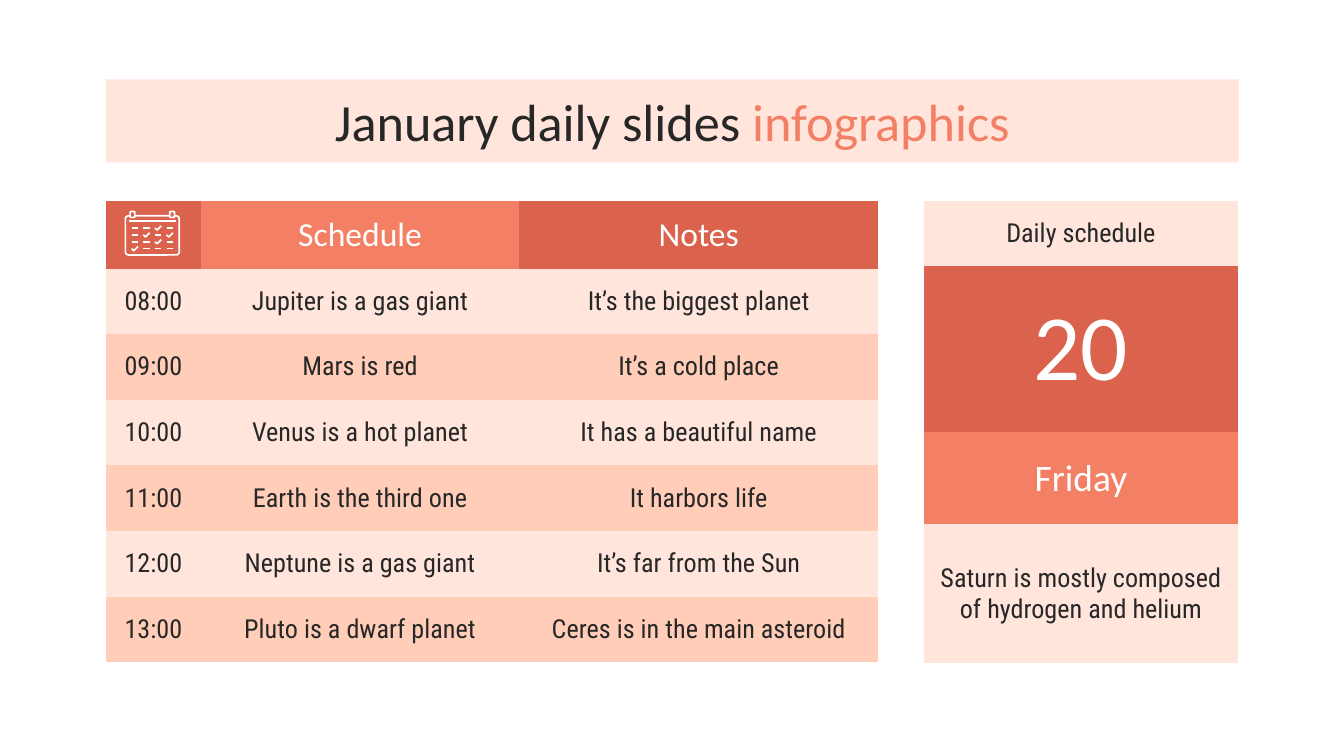
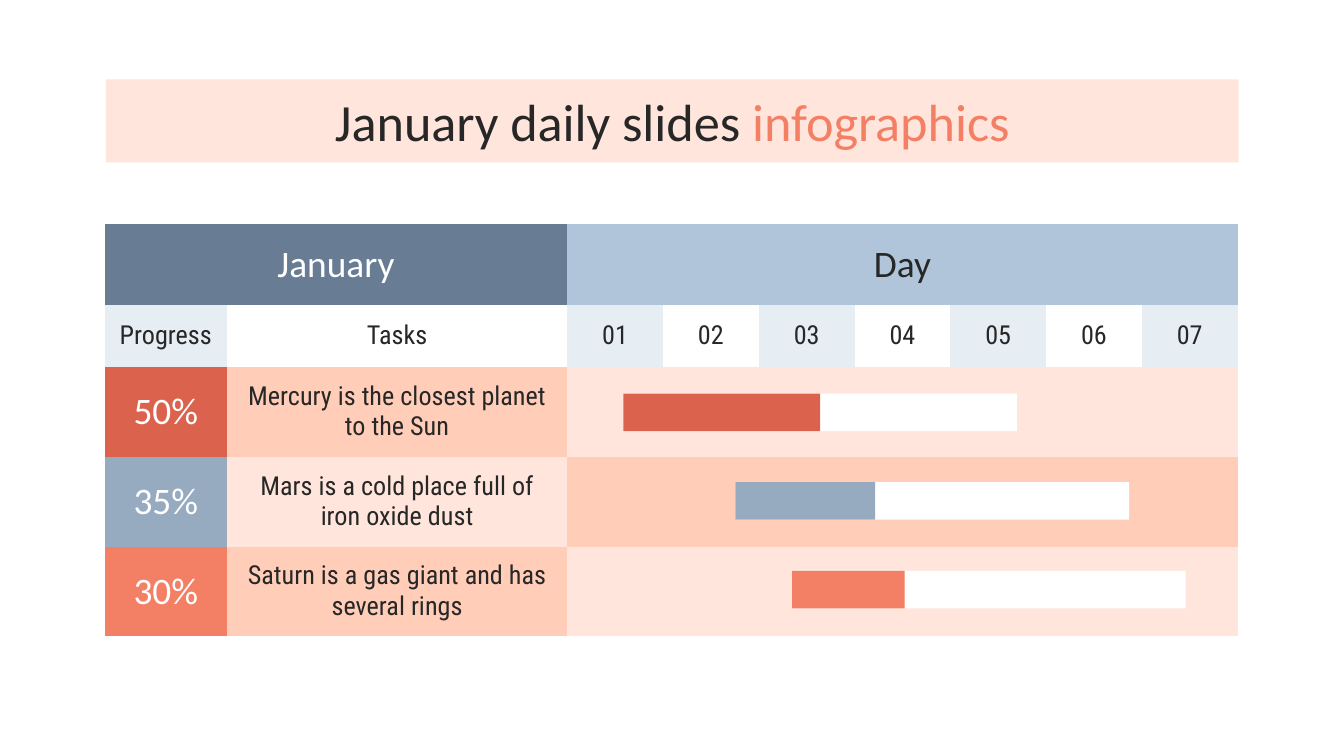
"""Build two January daily planner slides."""
from pptx import Presentation
from pptx import util as u
from pptx.dml.color import RGBColor
from pptx.enum import shapes, text
from pptx.oxml import ns, xmlchemy

WHITE = RGBColor(0xFF, 0xFF, 0xFF)
INK = RGBColor(0x27, 0x27, 0x27)
BLUSH = RGBColor(0xFF, 0xE5, 0xDB)
PEACH = RGBColor(0xFF, 0xCD, 0xB8)
CORAL = RGBColor(0xF3, 0x80, 0x65)
BRICK = RGBColor(0xDB, 0x63, 0x4D)
SLATE = RGBColor(0x68, 0x7D, 0x94)
STEEL = RGBColor(0x96, 0xAB, 0xC0)
SKY = RGBColor(0xB1, 0xC5, 0xDA)
MIST = RGBColor(0xE6, 0xED, 0xF3)

BODY = dict(font="Roboto Condensed", size=14, color=INK)
TITLE = dict(font="Calibri", size=28, color=INK)
HEADING = dict(font="Calibri", size=20, color=WHITE)
COLUMN_HEADING = {**HEADING, "size": 18}
DAY_NUMBER = {**HEADING, "size": 50}

NO_STYLE_NO_GRID = "{2D5ABB26-0587-4C30-8999-92F81FD0307C}"
TITLE_BOX = (2, 1.5, 21.41, 1.57)
INSET = u.Cm(0.25)
ICON_LINE = u.Pt(0.9)

AGENDA = [
    ("08:00", "Jupiter is a gas giant", "It’s the biggest planet"),
    ("09:00", "Mars is red", "It’s a cold place"),
    ("10:00", "Venus is a hot planet", "It has a beautiful name"),
    ("11:00", "Earth is the third one", "It harbors life"),
    ("12:00", "Neptune is a gas giant", "It’s far from the Sun"),
    ("13:00", "Pluto is a dwarf planet", "Ceres is in the main asteroid"),
]
TASKS = [
    ("50%", "Mercury is the closest planet to the Sun", BRICK),
    ("35%", "Mars is a cold place full of iron oxide dust", STEEL),
    ("30%", "Saturn is a gas giant and has several rings", CORAL),
]
BARS = [(1.06, 3.72, BRICK), (3.18, 2.64, STEEL), (4.25, 2.13, CORAL)]
PLANNER_ROWS = [1.53, 1.17, 1.7, 1.7, 1.7]


def write_text(paragraph, content, *, font, size, color):
    """Append a centred run with the given format."""
    paragraph.alignment = text.PP_ALIGN.CENTER
    run = paragraph.add_run()
    run.text = content
    run.font.name = font
    run.font.size = u.Pt(size)
    run.font.color.rgb = color


def add_box(parent, kind, box, fill=None, line=None):
    """Add a preset shape with an optional fill and outline."""
    shape = parent.add_shape(kind, *map(u.Cm, box))
    shape.shadow.inherit = False
    paint(shape, fill, line)
    return shape


def paint(shape, fill, line):
    """Set or clear a shape's fill and outline."""
    if fill is None:
        shape.fill.background()
    else:
        shape.fill.solid()
        shape.fill.fore_color.rgb = fill
    if line is None:
        shape.line.fill.background()
    else:
        shape.line.color.rgb = line
        shape.line.width = ICON_LINE


def add_stroke(parent, x, y, length):
    """Add a horizontal white line without a shadow."""
    line = parent.add_connector(shapes.MSO_CONNECTOR.STRAIGHT,
                                *map(u.Cm, (x, y, x + length, y)))
    line.line.color.rgb = WHITE
    line.line.width = ICON_LINE
    properties = line.element.spPr
    properties.append(xmlchemy.OxmlElement("a:effectLst"))


def add_check(parent, x, y):
    """Add a white check mark."""
    points = [(x, y), (x + 0.04, y + 0.04), (x + 0.12, y - 0.04)]
    points = [tuple(map(u.Cm, point)) for point in points]
    builder = parent.build_freeform(*points[0])
    builder.add_line_segments(points[1:], close=False)
    check = builder.convert_to_shape()
    check.shadow.inherit = False
    paint(check, None, WHITE)


def add_grid(slide, left, top, columns, heights, rows):
    """Add a table whose cells are (content, fill, format) and return it."""
    frame = slide.shapes.add_table(
        len(heights), len(columns),
        *map(u.Cm, (left, top, sum(columns), sum(heights))))
    next(frame.element.iter(ns.qn("a:tableStyleId"))).text = NO_STYLE_NO_GRID
    table = frame.table
    table.first_row = table.horz_banding = False
    for column, width in zip(table.columns, columns):
        column.width = u.Cm(width)
    for row, height, entries in zip(table.rows, heights, rows):
        row.height = u.Cm(height)
        for cell, (content, fill, style) in zip(row.cells, entries):
            cell.fill.solid()
            cell.fill.fore_color.rgb = fill
            cell.vertical_anchor = text.MSO_ANCHOR.MIDDLE
            cell.margin_left = cell.margin_right = INSET
            cell.margin_top = cell.margin_bottom = INSET
            if content:
                write_text(cell.text_frame.paragraphs[0], content, **style)
    return table


def add_titled_slide(presentation):
    """Add a slide with the two-colour title on its band."""
    slide = presentation.slides.add_slide(presentation.slide_layouts[5])
    title = slide.shapes.title
    title.left, title.top, title.width, title.height = map(u.Cm, TITLE_BOX)
    paint(title, BLUSH, None)
    frame = title.text_frame
    frame.auto_size = text.MSO_AUTO_SIZE.NONE
    frame.vertical_anchor = text.MSO_ANCHOR.MIDDLE
    frame.margin_left = frame.margin_right = INSET
    frame.margin_top = frame.margin_bottom = INSET
    paragraph = frame.paragraphs[0]
    write_text(paragraph, "January daily slides ", **TITLE)
    write_text(paragraph, "infographics", **{**TITLE, "color": CORAL})
    return slide


def add_calendar_icon(slide, left, top):
    """Draw a calendar with dashes and check marks."""
    icon = slide.shapes.add_group_shape().shapes
    rounded = shapes.MSO_SHAPE.ROUNDED_RECTANGLE
    frame = add_box(icon, rounded, (left + 0.01, top + 0.09, 1.02, 0.74),
                    line=WHITE)
    frame.adjustments[0] = 0.08
    add_stroke(icon, left + 0.07, top + 0.19, 0.9)
    for ring in (0.1, 0.85):
        add_box(icon, rounded, (left + ring, top + 0.01, 0.09, 0.11),
                BRICK, WHITE)
    for row, marks in enumerate(("--v-", "-v-v", "--v-", "v---")):
        for column, mark in enumerate(marks):
            x, y = left + 0.13 + 0.22 * column, top + 0.32 + 0.13 * row
            if mark == "v":
                add_check(icon, x, y)
            else:
                add_stroke(icon, x, y, 0.12)


def add_agenda(slide, left, top):
    """Add the hourly schedule with its calendar icon."""
    rows = [[("", BRICK, None), ("Schedule", CORAL, COLUMN_HEADING),
             ("Notes", BRICK, COLUMN_HEADING)]]
    for index, entries in enumerate(AGENDA):
        fill = (BLUSH, PEACH)[index % 2]
        rows.append([(entry, fill, BODY) for entry in entries])
    add_grid(slide, left, top, [1.8, 6.01, 6.79],
             [1.22] + [1.24] * len(AGENDA), rows)
    add_calendar_icon(slide, left + 0.36, top + 0.19)


def add_day_card(slide, left, top):
    """Add the card for the current day."""
    rows = [
        [("Daily schedule", BLUSH, BODY)],
        [("20", BRICK, DAY_NUMBER)],
        [("Friday", CORAL, HEADING)],
        [("Saturn is mostly composed of hydrogen and helium", BLUSH, BODY)],
    ]
    add_grid(slide, left, top, [5.94], [1.22, 3.15, 1.74, 2.63], rows)


def add_task_list(slide, left, top):
    """Add the tasks with their progress."""
    rows = [[("January", SLATE, HEADING), ("", SLATE, None)],
            [("Progress", MIST, BODY), ("Tasks", WHITE, BODY)]]
    for index, (progress, task, color) in enumerate(TASKS):
        rows.append([(progress, color, HEADING),
                     (task, (PEACH, BLUSH)[index % 2], BODY)])
    table = add_grid(slide, left, top, [2.31, 6.43], PLANNER_ROWS, rows)
    table.cell(0, 0).merge(table.cell(0, 1))


def add_timeline(slide, left, top):
    """Add the week grid and a progress bar for each task."""
    days = range(7)
    rows = [[("" if day else "Day", SKY, {**HEADING, "color": INK})
             for day in days],
            [(f"{day + 1:02}", (MIST, WHITE)[day % 2], BODY) for day in days]]
    rows += [[("", fill, None)] * 7 for fill in (BLUSH, PEACH, BLUSH)]
    table = add_grid(slide, left, top, [1.81] * 7, PLANNER_ROWS, rows)
    table.cell(0, 0).merge(table.cell(0, 6))
    for index, (start, done, color) in enumerate(BARS):
        y = top + 3.21 + 1.675 * index
        for length, fill in ((7.44, WHITE), (done, color)):
            add_box(slide.shapes, shapes.MSO_SHAPE.RECTANGLE,
                    (left + start, y, length, 0.71), fill)


def main():
    """Build and save the presentation."""
    presentation = Presentation()
    presentation.slide_width = u.Cm(25.4)
    presentation.slide_height = u.Cm(14.29)
    daily = add_titled_slide(presentation)
    add_agenda(daily, 2, 3.8)
    add_day_card(daily, 17.46, 3.8)
    weekly = add_titled_slide(presentation)
    add_timeline(weekly, 10.72, 4.23)
    add_task_list(weekly, 1.98, 4.23)
    presentation.save("out.pptx")


if __name__ == "__main__":
    main()
